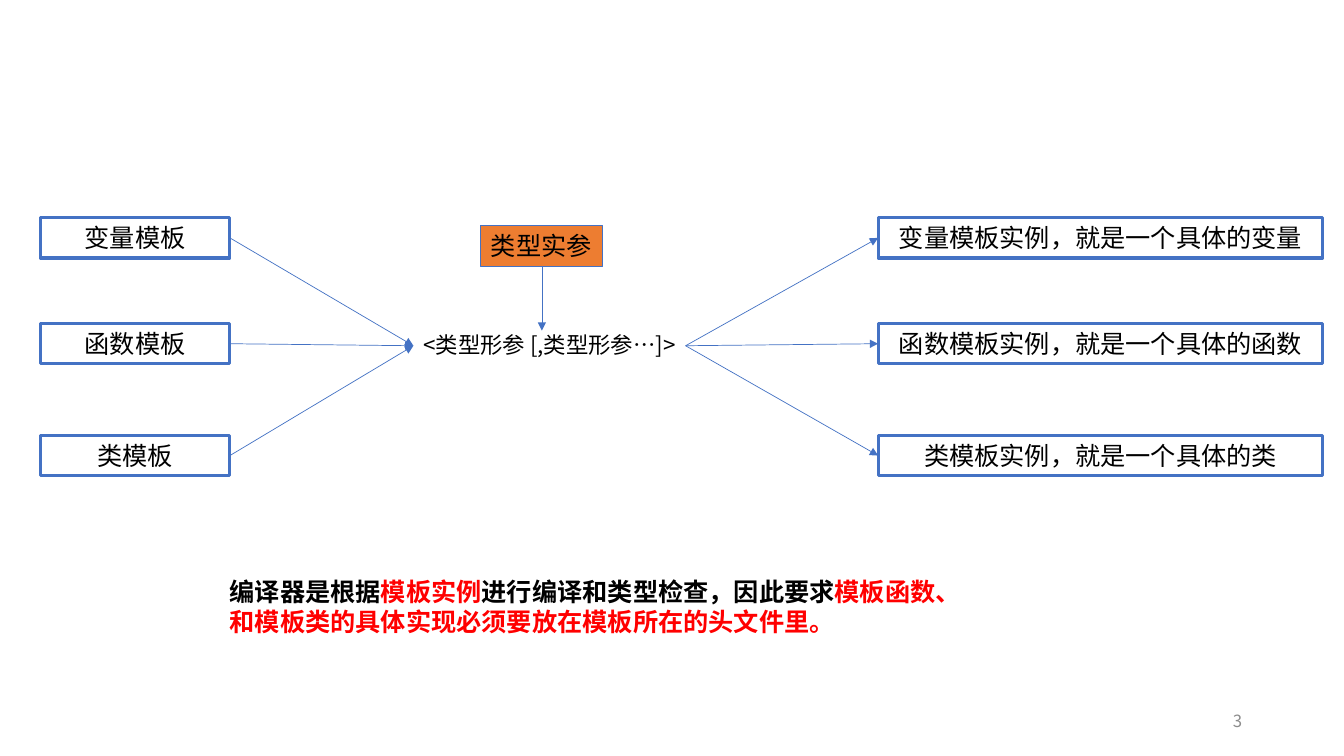
from dataclasses import dataclass

from lxml.etree import SubElement
from pptx import Presentation
from pptx.dml.color import RGBColor
from pptx.enum.shapes import MSO_CONNECTOR, MSO_SHAPE
from pptx.enum.text import MSO_ANCHOR, MSO_AUTO_SIZE, PP_ALIGN
from pptx.oxml.ns import qn
from pptx.util import Inches, Pt


@dataclass(frozen=True)
class Theme:
    font: str = "Noto Sans CJK SC"
    blue: RGBColor = RGBColor(0x44, 0x72, 0xC4)
    orange: RGBColor = RGBColor(0xED, 0x7D, 0x31)
    black: RGBColor = RGBColor(0, 0, 0)
    red: RGBColor = RGBColor(0xFF, 0, 0)
    gray: RGBColor = RGBColor(0x8C, 0x8C, 0x8C)
    body: int = 18
    parameter: int = 16
    footer: int = 12
    frame_line: float = 2.25
    argument_line: float = 0.75
    arrow_line: float = 0.5


THEME = Theme()
ROW_TOPS = (2.16, 3.21, 4.32)
ROW_HEIGHT = 0.4
TEMPLATES = ("变量模板", "函数模板", "类模板")
INSTANCES = (
    "变量模板实例，就是一个具体的变量",
    "函数模板实例，就是一个具体的函数",
    "类模板实例，就是一个具体的类",
)
CONCLUSION = (
    ("编译器是根据", THEME.black),
    ("模板实例", THEME.red),
    ("进行编译和类型检查，因此要求", THEME.black),
    ("模板函数、和模板类的具体实现必须要放在模板所在的头文件里。", THEME.red),
)


def format_run(run, size, color, bold=False):
    run.font.name = THEME.font
    run.font.size = Pt(size)
    run.font.color.rgb = color
    run.font.bold = bold
    SubElement(run.font._element, qn("a:ea"), typeface=THEME.font)


def write(shape, text, size=THEME.body, color=THEME.black,
          align=PP_ALIGN.CENTER, wrap=True):
    frame = shape.text_frame
    frame.text = text
    frame.word_wrap = wrap
    frame.auto_size = MSO_AUTO_SIZE.SHAPE_TO_FIT_TEXT
    frame.vertical_anchor = MSO_ANCHOR.TOP
    frame.paragraphs[0].alignment = align
    format_run(frame.paragraphs[0].runs[0], size, color)


def add_text_box(slide, box):
    return slide.shapes.add_textbox(*map(Inches, box))


def add_frame(slide, box, line_width):
    frame = slide.shapes.add_shape(MSO_SHAPE.RECTANGLE, *map(Inches, box))
    frame.shadow.inherit = False
    frame.fill.background()
    frame.line.color.rgb = THEME.blue
    frame.line.width = Pt(line_width)
    return frame


def add_arrow(slide, start, end):
    arrow = slide.shapes.add_connector(
        MSO_CONNECTOR.STRAIGHT, *map(Inches, (*start, *end)))
    arrow.line.color.rgb = THEME.blue
    arrow.line.width = Pt(THEME.arrow_line)
    SubElement(arrow.line._get_or_add_ln(), qn("a:tailEnd"), type="triangle")
    SubElement(arrow._element.spPr, qn("a:effectLst"))


def add_column(slide, left, width, labels):
    """Stack one framed label per row and return the row centres."""
    for top, label in zip(ROW_TOPS, labels):
        write(add_frame(slide, (left, top, width, ROW_HEIGHT),
                        THEME.frame_line), label)
    return [top + ROW_HEIGHT / 2 for top in ROW_TOPS]


def add_type_parameters(slide, box):
    """Place the parameter list and the argument that feeds it from above."""
    left, top, width, _ = box
    write(add_text_box(slide, box), "<类型形参 [,类型形参…]>", THEME.parameter)

    argument_left, argument_top, argument_width = left + 0.67, top - 1, 1.21
    argument = add_frame(
        slide, (argument_left, argument_top, argument_width, ROW_HEIGHT),
        THEME.argument_line)
    argument.fill.solid()
    argument.fill.fore_color.rgb = THEME.orange
    write(argument, "类型实参", align=PP_ALIGN.LEFT, wrap=False)
    center = argument_left + argument_width / 2
    add_arrow(slide, (center, argument_top + ROW_HEIGHT), (center, top + 0.04))


def add_instantiation(slide, box):
    """Draw templates, type parameters and instances from left to right."""
    left, _, width, _ = box
    template_width, instance_width = 1.88, 4.41
    templates_right = left + template_width
    instances_left = left + width - instance_width
    parameters = (left + 3.7, 3.24, 2.7, 0.37)
    entry = (parameters[0], 3.43)
    exit_point = (parameters[0] + parameters[2], 3.43)

    centers = add_column(slide, left, template_width, TEMPLATES)
    add_column(slide, instances_left, instance_width, INSTANCES)
    add_type_parameters(slide, parameters)
    for center in centers:
        add_arrow(slide, (templates_right, center), entry)
        add_arrow(slide, exit_point, (instances_left, center))


def add_conclusion(slide, box):
    frame = add_text_box(slide, box).text_frame
    frame.word_wrap = True
    frame.auto_size = MSO_AUTO_SIZE.SHAPE_TO_FIT_TEXT
    for text, color in CONCLUSION:
        run = frame.paragraphs[0].add_run()
        run.text = text
        format_run(run, THEME.body, color, bold=True)


def add_page_number(slide, box):
    number = add_text_box(slide, box)
    write(number, "3", THEME.footer, THEME.gray, PP_ALIGN.RIGHT)
    number.text_frame.auto_size = MSO_AUTO_SIZE.NONE
    number.text_frame.vertical_anchor = MSO_ANCHOR.MIDDLE


def main():
    deck = Presentation()
    deck.slide_width, deck.slide_height = Inches(13.33), Inches(7.5)
    slide = deck.slides.add_slide(deck.slide_layouts.get_by_name("Blank"))
    add_instantiation(slide, (0.4, 2.16, 12.72, 2.56))
    add_conclusion(slide, (2.18, 5.67, 7.31, 0.71))
    add_page_number(slide, (9.42, 6.95, 3, 0.4))
    deck.save("out.pptx")


if __name__ == "__main__":
    main()
